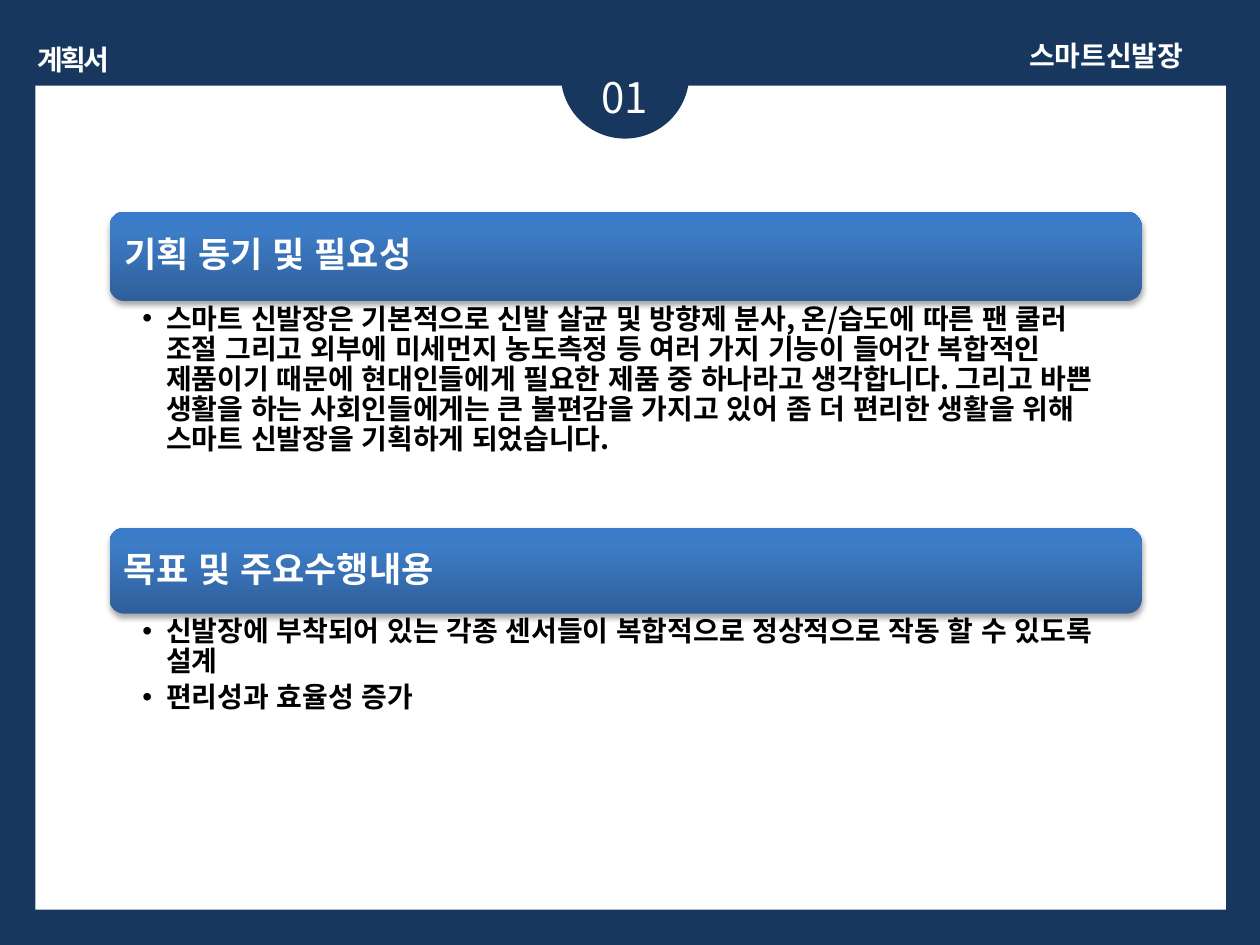
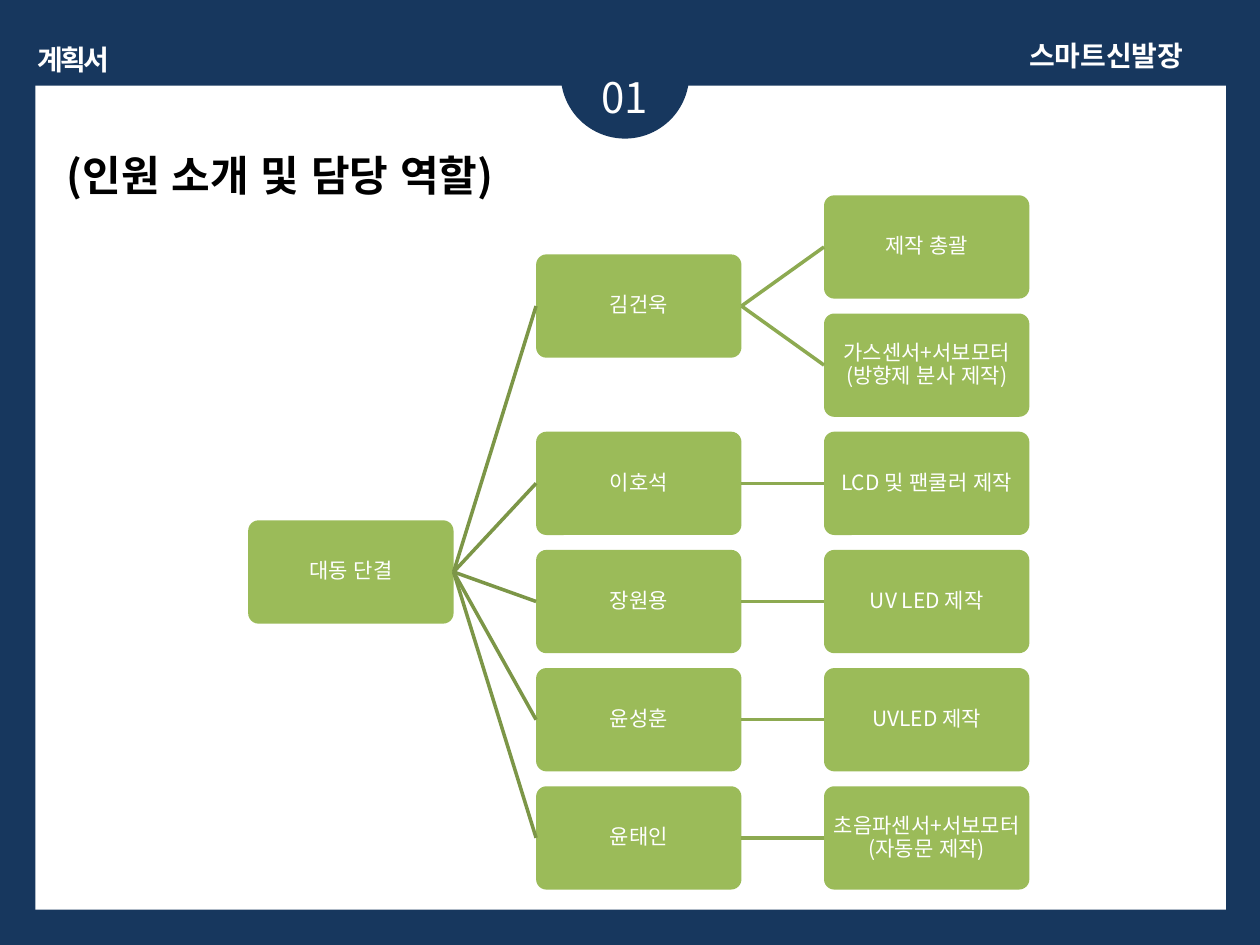
from lxml.etree import SubElement
from pptx import Presentation
from pptx.dml.color import RGBColor
from pptx.enum.lang import MSO_LANGUAGE_ID
from pptx.enum.shapes import MSO_CONNECTOR, MSO_SHAPE
from pptx.enum.text import MSO_ANCHOR, PP_ALIGN
from pptx.oxml import parse_xml
from pptx.oxml.ns import nsdecls, qn
from pptx.util import Inches, Pt

COLORS = {
    "navy": "17375E", "white": "FFFFFF", "black": "000000", "green": "9BBB59",
    "team_line": "7C9647", "task_line": "8DAA51",
    "bar_low": "2F5F99", "bar_mid": "3D7CC7", "bar_high": "3A7CCB",
}
FONT = "Noto Sans CJK KR"
DEFAULT_INSETS = (0.1, 0.05, 0.1, 0.05)

STYLES = {
    "header": {"size": 16, "bold": True, "color": "white"},
    "number": {"size": 24, "color": "white", "align": PP_ALIGN.CENTER},
    "title": {"size": 24, "bold": True, "color": "black"},
    "bar": {"size": 20, "bold": True, "color": "white", "line_spacing": 0.9,
            "space_after": Pt(7), "insets": (0.08,) * 4, "anchor": MSO_ANCHOR.MIDDLE},
    "bullets": {"size": 16, "bold": True, "color": "black", "line_spacing": 0.9,
                "space_after": Pt(3.2), "insets": (0.26, 0.03, 0.16, 0.03)},
    "node": {"size": 12, "color": "white", "align": PP_ALIGN.CENTER, "line_spacing": 0.9,
             "space_after": Pt(4.2), "insets": (0.01,) * 4, "anchor": MSO_ANCHOR.MIDDLE},
}

SECTIONS = [
    ("기획 동기 및 필요성", (0.87, 1.68, 8.19, 2.51), 0.71, [
        "스마트 신발장은 기본적으로 신발 살균 및 방향제 분사, 온/습도에 따른 팬 쿨러 조절 "
        "그리고 외부에 미세먼지 농도측정 등 여러 가지 기능이 들어간 복합적인 제품이기 때문에 "
        "현대인들에게 필요한 제품 중 하나라고 생각합니다. 그리고 바쁜 생활을 하는 "
        "사회인들에게는 큰 불편감을 가지고 있어 좀 더 편리한 생활을 위해 스마트 신발장을 "
        "기획하게 되었습니다."]),
    ("목표 및 주요수행내용", (0.87, 4.19, 8.19, 1.87), 0.68, [
        "신발장에 부착되어 있는 각종 센서들이 복합적으로 정상적으로 작동 할 수 있도록 설계",
        "편리성과 효율성 증가"]),
]

TEAM = "대동 단결"
MEMBERS = {
    "김건욱": ["제작 총괄", "가스센서+서보모터(방향제 분사 제작)"],
    "이호석": ["LCD 및 팬쿨러 제작"],
    "장원용": ["UV LED 제작"],
    "윤성훈": ["UVLED 제작"],
    "윤태인": ["초음파센서+서보모터(자동문 제작)"],
}


def rgb(color):
    return RGBColor.from_string(COLORS[color])


def inches(box):
    return [Inches(length) for length in box]


def set_all(target, values):
    for name, value in values.items():
        setattr(target, name, value)


def write(shape, lines, style, wrap=True):
    look = STYLES[style]
    left, top, right, bottom = inches(look.get("insets", DEFAULT_INSETS))
    frame = shape.text_frame
    set_all(frame, {
        "word_wrap": wrap, "vertical_anchor": look.get("anchor", MSO_ANCHOR.TOP),
        "margin_left": left, "margin_top": top,
        "margin_right": right, "margin_bottom": bottom,
    })
    frame.text = "\n".join(lines)
    for paragraph in frame.paragraphs:
        set_all(paragraph, {
            "alignment": look.get("align", PP_ALIGN.LEFT),
            "line_spacing": look.get("line_spacing", 1.0),
            "space_after": look.get("space_after", Pt(0)),
        })
        for run in paragraph.runs:
            set_all(run.font, {
                "name": FONT, "size": Pt(look["size"]), "bold": look.get("bold", False),
                "language_id": MSO_LANGUAGE_ID.KOREAN,
            })
            run.font.color.rgb = rgb(look["color"])
            SubElement(run.font._element, qn("a:ea"), typeface=FONT)
    return frame


def add_label(slide, box, text, style, wrap=True):
    return write(slide.shapes.add_textbox(*inches(box)), [text], style, wrap)


def add_block(slide, kind, box, color=None):
    block = slide.shapes.add_shape(kind, *inches(box))
    block.shadow.inherit = False
    block.line.fill.background()
    if color:
        block.fill.solid()
        block.fill.fore_color.rgb = rgb(color)
    return block


def add_page(deck, layout):
    slide = deck.slides.add_slide(deck.slide_layouts.get_by_name(layout))
    slide.background.fill.solid()
    slide.background.fill.fore_color.rgb = rgb("navy")
    add_block(slide, MSO_SHAPE.RECTANGLE, (0.28, 0.68, 9.45, 6.54), "white")
    add_block(slide, MSO_SHAPE.OVAL, (4.45, 0.08, 1.02, 1.02), "navy")
    document = add_label(slide, (0.18, 0.29, 0.81, 0.37), "계획서", "header", wrap=False)
    document.paragraphs[0].alignment = PP_ALIGN.CENTER
    document.paragraphs[0].runs[0].font._element.set("spc", "-150")
    add_label(slide, (4.37, 0.52, 1.18, 0.5), "01", "number")
    add_label(slide, (8.07, 0.26, 1.65, 0.37), "스마트신발장", "header")
    return slide


def add_title(slide, box, text):
    title = slide.shapes.title
    left, top, width, height = inches(box)
    set_all(title, {"left": left, "top": top, "width": width, "height": height})
    write(title, [text], "title")
    slide.shapes._spTree.append(title._element)


def shade_bar(bar):
    stops = "".join(
        f'<a:gs pos="{position}"><a:srgbClr val="{COLORS[color]}"/></a:gs>'
        for position, color in ((0, "bar_low"), (80000, "bar_mid"), (100000, "bar_high")))
    properties = bar._element.spPr
    properties.find(qn("a:ln")).addprevious(parse_xml(
        f'<a:gradFill {nsdecls("a")} rotWithShape="1"><a:gsLst>{stops}</a:gsLst>'
        '<a:lin ang="16200000" scaled="0"/></a:gradFill>'))
    properties.find(qn("a:effectLst")).append(parse_xml(
        f'<a:outerShdw {nsdecls("a")} blurRad="40000" dist="23000" dir="5400000" '
        f'rotWithShape="0"><a:srgbClr val="{COLORS["black"]}"><a:alpha val="35000"/>'
        '</a:srgbClr></a:outerShdw>'))


def add_section(slide, box, bar_height, heading, points):
    left, top, width, height = box
    bar = add_block(slide, MSO_SHAPE.ROUNDED_RECTANGLE, (left, top, width, bar_height))
    shade_bar(bar)
    write(bar, [heading], "bar")
    body = slide.shapes.add_textbox(
        *inches((left, top + bar_height, width, height - bar_height)))
    indent = Inches(0.19)
    for paragraph in write(body, points, "bullets").paragraphs:
        properties = paragraph._p.get_or_add_pPr()
        properties.set("marL", str(indent))
        properties.set("indent", str(-indent))
        SubElement(properties, qn("a:buFont"), typeface="Arial")
        SubElement(properties, qn("a:buChar"), char="•")


def add_node(slide, box, text):
    node = add_block(slide, MSO_SHAPE.ROUNDED_RECTANGLE, box, "green")
    node.adjustments[0] = 0.1
    write(node, [text], "node")
    return node


def link(slide, parent, child, color):
    branch = slide.shapes.add_connector(MSO_CONNECTOR.STRAIGHT, 0, 0, 0, 0)
    branch.begin_connect(parent, 3)
    branch.end_connect(child, 1)
    branch.line.width = Pt(2)
    branch.line.color.rgb = rgb(color)
    SubElement(branch._element.spPr, qn("a:effectLst"))


def add_team_tree(slide, box, node_size, team, members):
    left, top, width, height = box
    node_width, node_height = node_size
    column_step = (width - node_width) / 2
    row_step = (height - node_height) / (sum(map(len, members.values())) - 1)

    def place(column, row, text):
        return add_node(slide, (left + column * column_step, top + row * row_step,
                                node_width, node_height), text)

    first_row, member_rows = 0, []
    for tasks in members.values():
        member_rows.append(first_row + (len(tasks) - 1) / 2)
        first_row += len(tasks)
    root = place(0, (member_rows[0] + member_rows[-1]) / 2, team)
    task_row = 0
    for (name, tasks), member_row in zip(members.items(), member_rows):
        member = place(1, member_row, name)
        link(slide, root, member, "team_line")
        for task in tasks:
            link(slide, member, place(2, task_row, task), "task_line")
            task_row += 1


def build_plan_slide(deck):
    slide = add_page(deck, "Blank")
    for heading, box, bar_height, points in SECTIONS:
        add_section(slide, box, bar_height, heading, points)


def build_team_slide(deck):
    slide = add_page(deck, "Title Only")
    add_team_tree(slide, (1.97, 1.55, 6.2, 5.51), (1.63, 0.82), TEAM, MEMBERS)
    add_title(slide, (0.43, 1.14, 3.95, 0.5), "(인원 소개 및 담당 역할)")


def main():
    deck = Presentation()
    set_all(deck, {"slide_width": Inches(10), "slide_height": Inches(7.5)})
    build_plan_slide(deck)
    build_team_slide(deck)
    deck.save("out.pptx")


if __name__ == "__main__":
    main()
